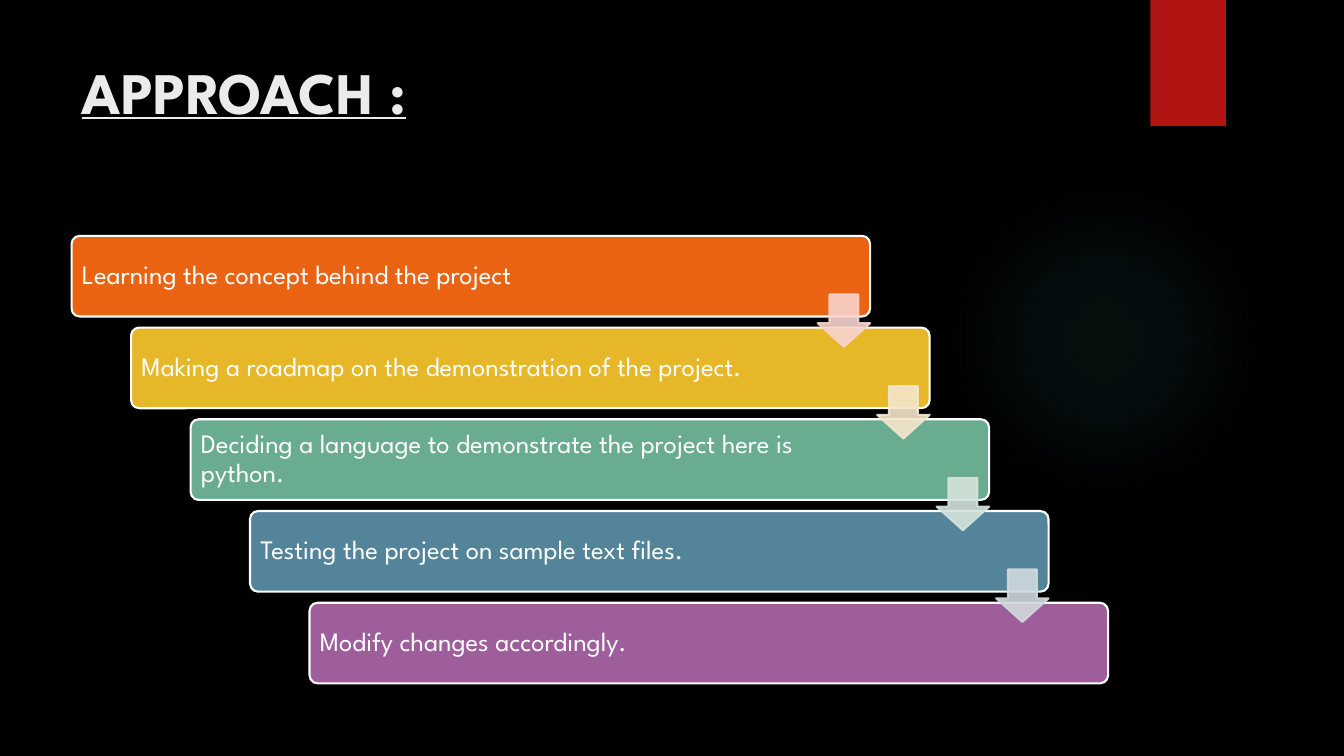
"""Build the Approach slide: five descending steps linked by arrows."""
import dataclasses
import typing

import lxml.etree
import pptx
import pptx.dml.color
import pptx.enum.shapes
import pptx.enum.text
import pptx.oxml
import pptx.oxml.ns
import pptx.util

Inches = pptx.util.Inches
Kind = pptx.enum.shapes.MSO_SHAPE
Anchor = pptx.enum.text.MSO_ANCHOR


@dataclasses.dataclass(frozen=True)
class Theme:
    """Colours and type sizes of the slide."""
    font: str = "League Spartan"
    background: str = "000000"
    title: str = "EBEBEB"
    text: str = "FFFFFF"
    ribbon: str = "B01513"
    glow: str = "50B9C1"
    title_size: int = 42
    step_size: int = 19
    line_width: float = 1.5


@dataclasses.dataclass(frozen=True)
class Box:
    """A place on the slide in inches."""
    left: float
    top: float
    width: float
    height: float

    def lengths(self) -> list[int]:
        """Return left, top, width and height as lengths."""
        return [Inches(value) for value in dataclasses.astuple(self)]


@dataclasses.dataclass(frozen=True)
class Step:
    """One step, with the colour of the arrow leaving it."""
    text: str
    fill: str
    arrow: str | None = None


THEME = Theme()
STEPS = [
    Step("Learning the concept behind the project", "EA6312", "F7D3CC"),
    Step("Making a roadmap on the demonstration of the project.", "E6B729", "F5E6CD"),
    Step("Deciding a language to demonstrate the project here is python.", "6AAC90", "D4E3DB"),
    Step("Testing the project on sample text files.", "54849A", "D1D9DE"),
    Step("Modify changes accordingly.", "9E5E9B"),
]
FIRST_STEP = Box(0.71, 2.34, 7.92, 0.8)
STEP_RIGHT, STEP_DOWN = 0.59, 0.91
ARROW_RIGHT, ARROW_DOWN, ARROW_SIZE = 7.4, 0.58, 0.52
GLOW_STOPS = [(0, 7), (36, 6), (69, 0)]


def rgb(colour: str) -> pptx.dml.color.RGBColor:
    """Return the colour for a hex string."""
    return pptx.dml.color.RGBColor.from_string(colour)


def apply(target: typing.Any, values: dict[str, typing.Any]) -> None:
    """Set each named attribute on the target."""
    for name, value in values.items():
        setattr(target, name, value)


def add_block(slide: typing.Any, kind: typing.Any, box: Box, fill: str,
              line: str | None = None) -> typing.Any:
    """Add a filled shape, outlined if a line colour is given."""
    shape = slide.shapes.add_shape(kind, *box.lengths())
    shape.shadow.inherit = False
    shape.fill.solid()
    shape.fill.fore_color.rgb = rgb(fill)
    if line:
        shape.line.color.rgb = rgb(line)
        shape.line.width = pptx.util.Pt(THEME.line_width)
    else:
        shape.line.fill.background()
    return shape


def write_text(shape: typing.Any, text: str, frame_values: dict[str, typing.Any],
               font_values: dict[str, typing.Any], colour: str) -> typing.Any:
    """Write one left-aligned paragraph and return it."""
    apply(shape.text_frame, {"word_wrap": True, **frame_values})
    paragraph = shape.text_frame.paragraphs[0]
    paragraph.alignment = pptx.enum.text.PP_ALIGN.LEFT
    run = paragraph.add_run()
    run.text = text
    apply(run.font, {"name": THEME.font, **font_values})
    run.font.color.rgb = rgb(colour)
    return paragraph


def add_glow(slide: typing.Any) -> None:
    """Add the faint round glow with a radial fade."""
    shape = add_block(slide, Kind.OVAL, Box(9.41, 1.83, 3.08, 3.08), THEME.glow)
    stops = "".join(
        f'<a:gs pos="{position * 1000}"><a:srgbClr val="{THEME.glow}">'
        f'<a:alpha val="{alpha * 1000}"/></a:srgbClr></a:gs>'
        for position, alpha in GLOW_STOPS)
    gradient = pptx.oxml.parse_xml(
        f'<a:gradFill {pptx.oxml.ns.nsdecls("a")}><a:gsLst>{stops}</a:gsLst>'
        '<a:path path="circle"><a:fillToRect l="50000" t="50000" r="50000" b="50000"/>'
        '</a:path></a:gradFill>')
    properties = shape.element.spPr
    properties.replace(properties.find(pptx.oxml.ns.qn("a:solidFill")), gradient)


def add_title(slide: typing.Any) -> None:
    """Place and format the slide title."""
    title = slide.shapes.title
    box = Box(0.71, 0.5, 10.29, 1.53)
    apply(title, dict(zip(("left", "top", "width", "height"), box.lengths())))
    write_text(title, "APPROACH :",
               {"vertical_anchor": Anchor.TOP, "auto_size": pptx.enum.text.MSO_AUTO_SIZE.NONE},
               {"size": pptx.util.Pt(THEME.title_size), "bold": True, "underline": True},
               THEME.title)


def add_step(slide: typing.Any, index: int, step: Step) -> None:
    """Add one step of the staircase."""
    box = dataclasses.replace(FIRST_STEP, left=FIRST_STEP.left + index * STEP_RIGHT,
                              top=FIRST_STEP.top + index * STEP_DOWN)
    shape = add_block(slide, Kind.ROUNDED_RECTANGLE, box, step.fill, THEME.text)
    shape.adjustments[0] = 0.1
    margins = {"margin_left": 0.08, "margin_top": 0.08,
               "margin_right": 1.2, "margin_bottom": 0.08}
    frame_values = {name: Inches(value) for name, value in margins.items()}
    paragraph = write_text(shape, step.text, {"vertical_anchor": Anchor.MIDDLE, **frame_values},
                           {"size": pptx.util.Pt(THEME.step_size)}, THEME.text)
    paragraph.line_spacing = 0.9


def add_arrow(slide: typing.Any, index: int, colour: str) -> None:
    """Add the translucent arrow from one step to the next."""
    box = Box(FIRST_STEP.left + index * STEP_RIGHT + ARROW_RIGHT,
              FIRST_STEP.top + index * STEP_DOWN + ARROW_DOWN, ARROW_SIZE, ARROW_SIZE)
    shape = add_block(slide, Kind.DOWN_ARROW, box, colour, colour)
    shape.adjustments[0] = 0.55
    shape.adjustments[1] = 0.45
    for element in shape.element.spPr.iter(pptx.oxml.ns.qn("a:srgbClr")):
        lxml.etree.SubElement(element, pptx.oxml.ns.qn("a:alpha"), val="90000")


def main() -> None:
    """Build and save the presentation."""
    presentation = pptx.Presentation()
    apply(presentation, {"slide_width": Inches(13.33), "slide_height": Inches(7.5)})
    slide = presentation.slides.add_slide(presentation.slide_layouts[5])
    slide.background.fill.solid()
    slide.background.fill.fore_color.rgb = rgb(THEME.background)
    add_glow(slide)
    add_block(slide, Kind.RECTANGLE, Box(11.41, 0, 0.75, 1.25), THEME.ribbon)
    add_title(slide)
    for index, step in enumerate(STEPS):
        add_step(slide, index, step)
    for index, step in enumerate(STEPS):
        if step.arrow:
            add_arrow(slide, index, step.arrow)
    presentation.save("out.pptx")


if __name__ == "__main__":
    main()
